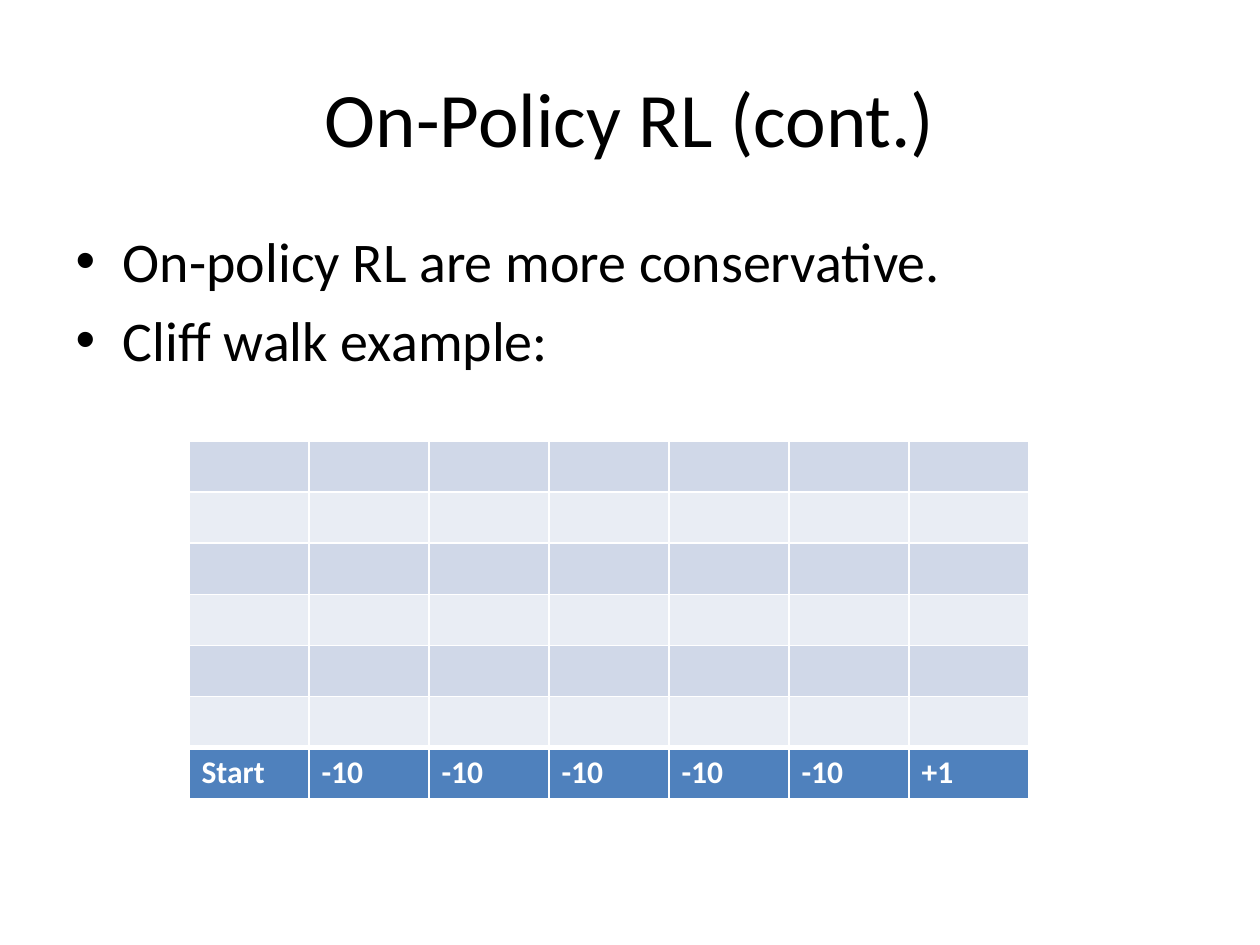
from dataclasses import dataclass

from lxml import etree
from pptx import Presentation
from pptx.dml.color import RGBColor
from pptx.enum import text
from pptx.oxml import ns
from pptx.util import Pt

TITLE = "On-Policy RL (cont.)"
POINTS = ["On-policy RL are more conservative.", "Cliff walk example:"]
FREE_ROWS = 6
CLIFF_ROW = ["Start"] + ["-10"] * 5 + ["+1"]

TITLE_BOX = (36, 21.6, 648, 90)
POINTS_BOX = (36, 126, 648, 356.4)
GRID_LEFT, GRID_TOP, GRID_WIDTH, ROW_HEIGHT = 108, 252, 480, 29.2


@dataclass(frozen=True)
class Theme:
    font: str = "Calibri"
    ink: str = "000000"
    white: str = "FFFFFF"
    bands: tuple = ("D0D8E8", "E9EDF4")
    cliff: str = "4F81BD"
    title_size: int = 44
    point_size: int = 32
    cell_size: int = 18
    thin: int = 1
    thick: int = 3


THEME = Theme()


def style_font(font, size, color, bold=False):
    values = {"name": THEME.font, "size": Pt(size), "bold": bold}
    for attribute, value in values.items():
        setattr(font, attribute, value)
    font.color.rgb = RGBColor.from_string(color)


def place(shape, box):
    for side, value in zip(("left", "top", "width", "height"), box):
        setattr(shape, side, Pt(value))


def add_borders(cell, widths):
    """Draw white borders; widths maps L, R, T and B to points."""
    properties = cell._tc.get_or_add_tcPr()
    for side, width in widths.items():
        line = etree.SubElement(properties, ns.qn(f"a:ln{side}"), w=str(Pt(width)))
        fill = etree.SubElement(line, ns.qn("a:solidFill"))
        etree.SubElement(fill, ns.qn("a:srgbClr"), val=THEME.white)


def add_title(slide):
    title = slide.shapes.title
    place(title, TITLE_BOX)
    title.text_frame.text = TITLE
    title.text_frame.vertical_anchor = text.MSO_ANCHOR.MIDDLE
    heading = title.text_frame.paragraphs[0]
    heading.alignment = text.PP_ALIGN.CENTER
    style_font(heading.runs[0].font, THEME.title_size, THEME.ink)


def add_points(slide):
    body = slide.placeholders[1]
    place(body, POINTS_BOX)
    body.text_frame.text = "\n".join(POINTS)
    for point in body.text_frame.paragraphs:
        style_font(point.runs[0].font, THEME.point_size, THEME.ink)
    body.text_frame.paragraphs[0].space_before = Pt(0)


def add_cliff_grid(slide):
    rows = [[""] * len(CLIFF_ROW)] * FREE_ROWS + [CLIFF_ROW]
    frame = slide.shapes.add_table(
        len(rows), len(CLIFF_ROW), Pt(GRID_LEFT), Pt(GRID_TOP),
        Pt(GRID_WIDTH), Pt(ROW_HEIGHT * len(rows)))
    grid = frame.table
    grid.first_row = grid.horz_banding = False
    for column in grid.columns:
        column.width = Pt(GRID_WIDTH / len(CLIFF_ROW))

    for r, labels in enumerate(rows):
        grid.rows[r].height = Pt(ROW_HEIGHT)
        is_cliff = r == FREE_ROWS
        color = THEME.cliff if is_cliff else THEME.bands[r % 2]
        widths = dict.fromkeys("LRTB", THEME.thin)
        if is_cliff:
            widths["T"] = THEME.thick
        elif r == FREE_ROWS - 1:
            widths["B"] = THEME.thick
        for c, label in enumerate(labels):
            cell = grid.cell(r, c)
            add_borders(cell, widths)
            cell.fill.solid()
            cell.fill.fore_color.rgb = RGBColor.from_string(color)
            if label:
                cell.text = label
                style_font(cell.text_frame.paragraphs[0].runs[0].font,
                           THEME.cell_size, THEME.white, bold=True)


def main():
    deck = Presentation()
    deck.slide_width, deck.slide_height = Pt(720), Pt(540)
    slide = deck.slides.add_slide(deck.slide_layouts[1])
    add_title(slide)
    add_points(slide)
    add_cliff_grid(slide)
    deck.save("out.pptx")


if __name__ == "__main__":
    main()
